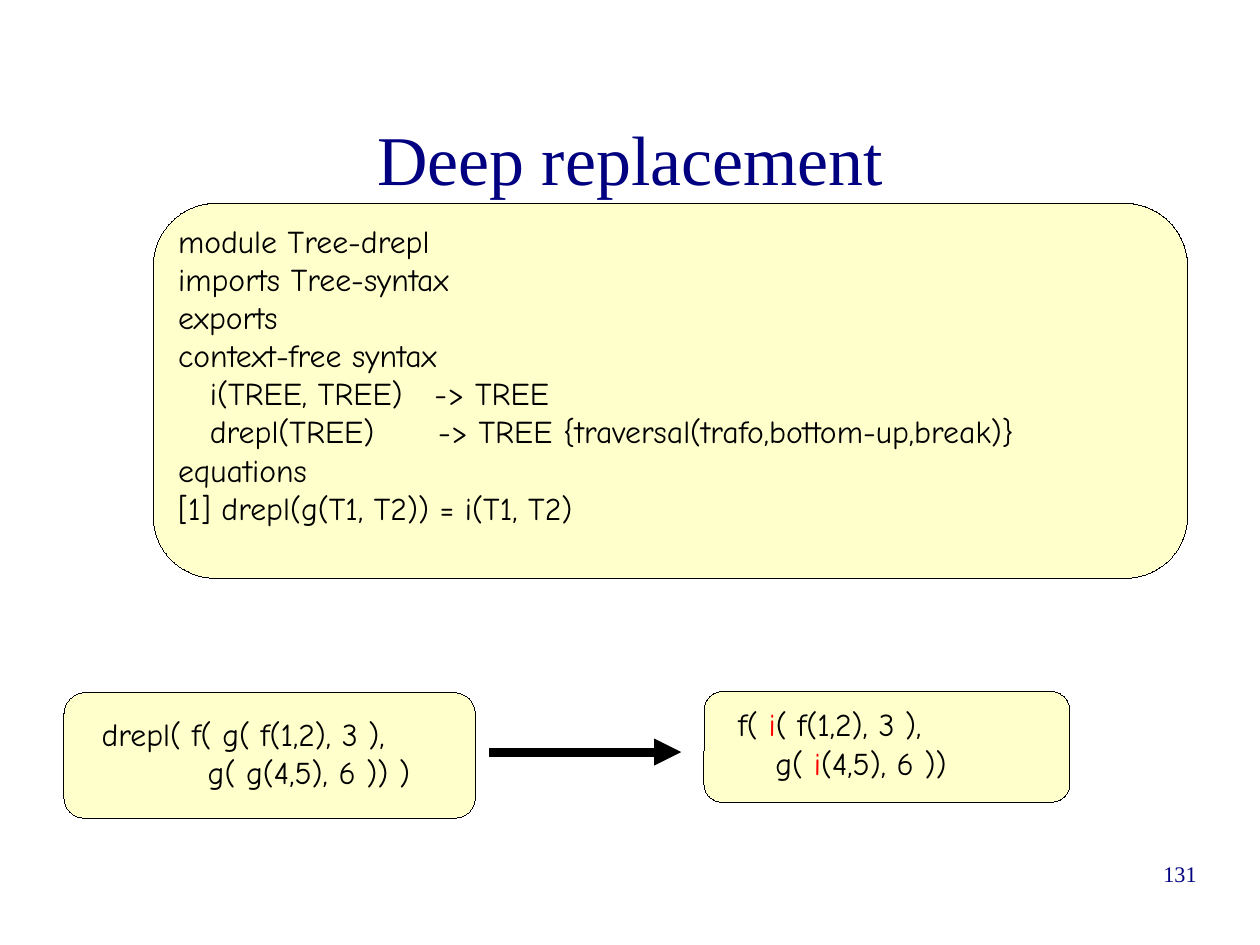
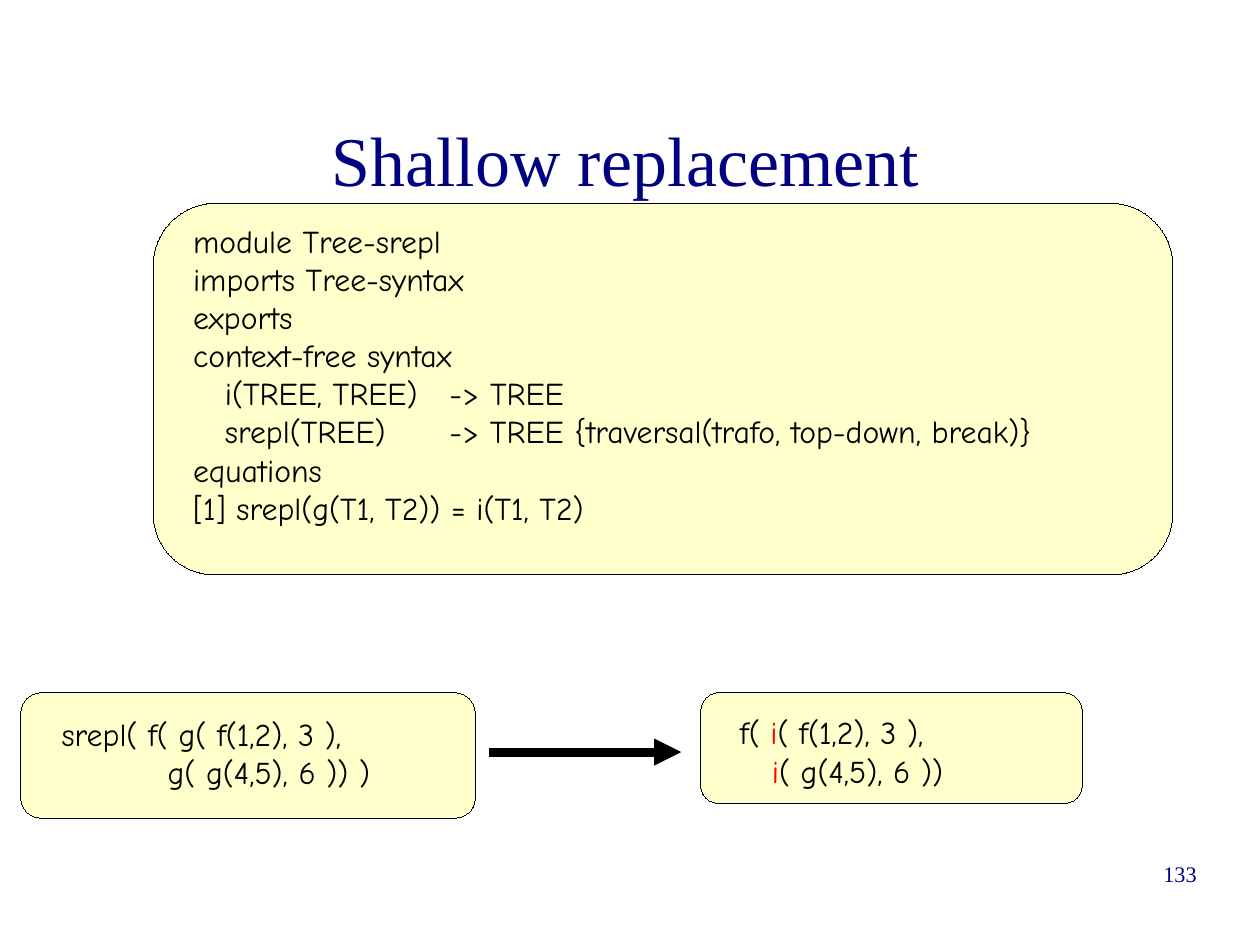
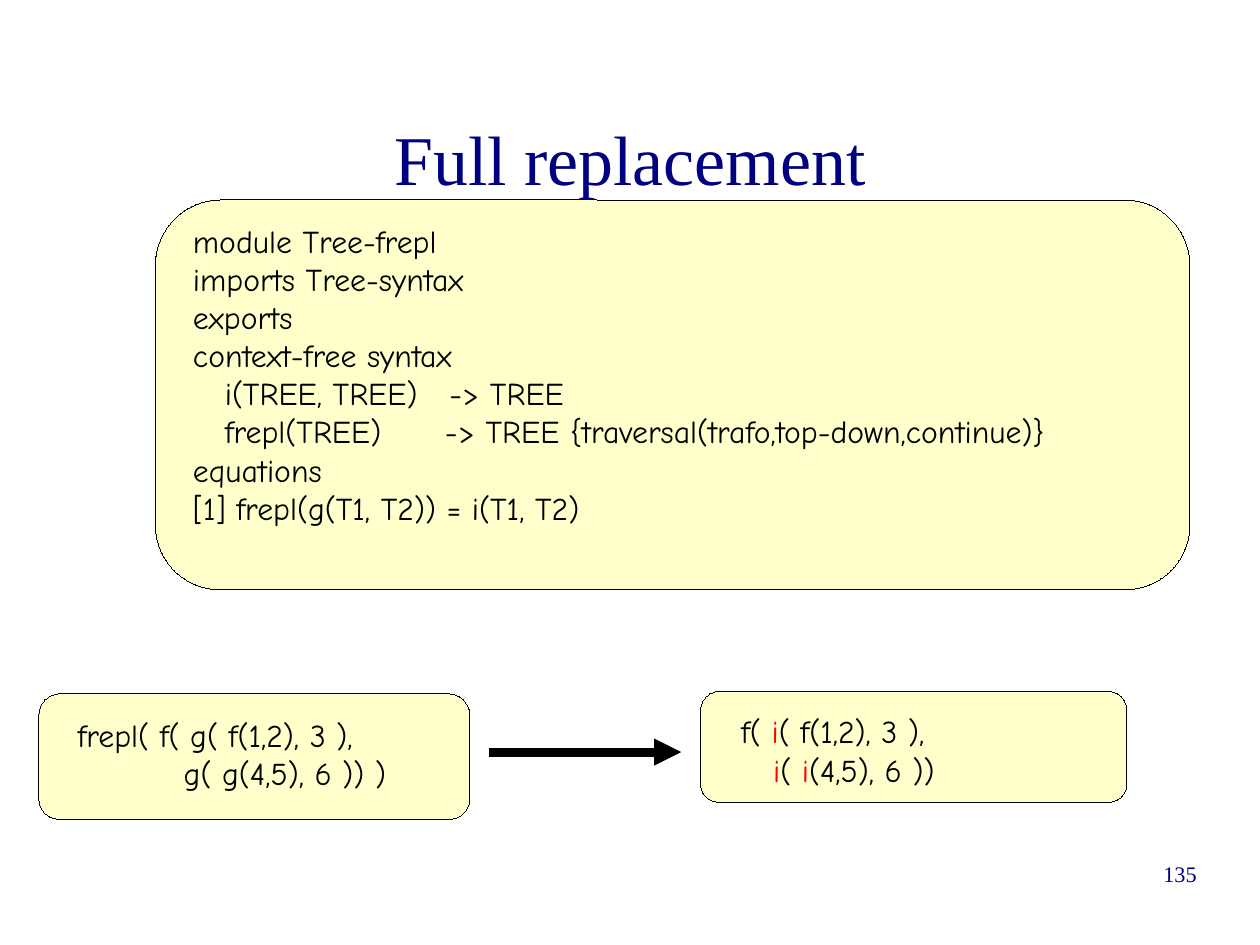
from lxml.etree import SubElement
from pptx import Presentation
from pptx.dml.color import RGBColor
from pptx.enum.shapes import MSO_CONNECTOR, MSO_SHAPE
from pptx.enum.text import MSO_ANCHOR, MSO_AUTO_SIZE, PP_ALIGN
from pptx.oxml.ns import qn
from pptx.util import Cm, Inches, Pt

COLORS = {"panel": "FFFFCC", "ink": "000000", "accent": "FF0000", "navy": "000080"}
SERIF, CODE, SANS = "Times New Roman", "Comic Neue", "Arial"
INSETS = (0.1, 0.05)
ARROW = (4.28, 6.58, 5.96, 6.58)
NUMBER_AT = (7.9, 7.53, 2.57, 0.57)

STRATEGIES = [
    {
        "title": "Deep replacement", "title_at": (0.81, 0.69, 9.41, 1.38),
        "number": "131", "function": "drepl",
        "traversal": "trafo,bottom-up,break",
        "module_panel": (1.34, 1.78, 9.05, 3.28), "module_at": (1.46, 1.89, 9.56, 3.27),
        "call_panel": (0.56, 6.06, 3.6, 1.1), "call_at": (0.79, 6.2, 3.33, 0.89),
        "result_panel": (6.16, 6.05, 3.2, 0.97), "result_at": (6.22, 6.12, 3.08, 0.89),
        "result": ["f(| i|( f(1,2), 3 ),", "     g(| i|(4,5), 6 ))"],
        "lead_size": 18,
    },
    {
        "title": "Shallow replacement", "title_at": (0.77, 0.7, 9.41, 1.38),
        "number": "133", "function": "srepl",
        "traversal": "trafo, top-down, break",
        "module_panel": (1.34, 1.78, 8.92, 3.25), "module_at": (1.59, 1.89, 8.75, 3.27),
        "call_panel": (0.18, 6.06, 3.98, 1.1), "call_at": (0.44, 6.2, 3.67, 0.89),
        "result_panel": (6.13, 6.06, 3.34, 0.97), "result_at": (6.19, 6.13, 3.21, 0.9),
        "result": ["f( |i|( f(1,2), 3 ),", "     |i|( g(4,5), 6 ))"],
        "lead_size": 24,
    },
    {
        "title": "Full replacement", "title_at": (0.81, 0.69, 9.41, 1.38),
        "number": "135", "function": "frepl",
        "traversal": "trafo,top-down,continue",
        "module_panel": (1.36, 1.75, 9.05, 3.41), "module_at": (1.59, 1.89, 9.26, 3.27),
        "call_panel": (0.34, 6.07, 3.77, 1.1), "call_at": (0.58, 6.21, 3.48, 0.89),
        "result_panel": (6.13, 6.05, 3.73, 0.97), "result_at": (6.2, 6.12, 3.58, 0.9),
        "result": ["f(| i|( f(1,2), 3 ),", "     |i|( |i|(4,5), 6 ))"],
        "lead_size": 24,
    },
]


def module_lines(function, traversal):
    return [
        f"module Tree-{function}",
        "imports Tree-syntax",
        "exports",
        "context-free syntax",
        "   i(TREE, TREE)   -> TREE",
        f"   {function}(TREE)      -> TREE {{traversal({traversal})}}",
        "equations",
        f"[1] {function}(g(T1, T2)) = i(T1, T2)",
    ]


def call_lines(function):
    return [f"{function}( f( g( f(1,2), 3 ),", "          g( g(4,5), 6 )) )"]


def place(part, at):
    part.left, part.top, part.width, part.height = map(Inches, at)


def add_run(paragraph, text, font, size, color):
    run = paragraph.add_run()
    run.text = text
    run.font.name, run.font.size = font, Pt(size)
    run.font.color.rgb = RGBColor.from_string(COLORS[color])


def write(holder, lines, font=CODE, size=20, color="ink", align=PP_ALIGN.LEFT,
          anchor=MSO_ANCHOR.TOP, insets=INSETS, lead_size=None):
    frame = holder.text_frame
    frame.word_wrap, frame.auto_size = True, MSO_AUTO_SIZE.NONE
    frame.vertical_anchor = anchor
    frame.margin_left = frame.margin_right = Inches(insets[0])
    frame.margin_top = frame.margin_bottom = Inches(insets[1])
    for index, line in enumerate(lines):
        paragraph = frame.add_paragraph() if index else frame.paragraphs[0]
        paragraph.alignment = align
        if lead_size and index == 0:
            add_run(paragraph, "  ", SANS, lead_size, color)
        for part, text in enumerate(line.split("|")):
            add_run(paragraph, text, font, size, "accent" if part % 2 else color)


def add_text(slide, at, lines, **style):
    write(slide.shapes.add_textbox(*map(Inches, at)), lines, **style)


def add_panel(slide, at):
    panel = slide.shapes.add_shape(MSO_SHAPE.ROUNDED_RECTANGLE, *map(Inches, at))
    panel.shadow.inherit = False
    panel.fill.solid()
    panel.fill.fore_color.rgb = RGBColor.from_string(COLORS["panel"])
    panel.line.color.rgb = RGBColor.from_string(COLORS["ink"])
    panel.element.spPr.find(qn("a:ln")).set("w", "0")
    return panel


def add_arrow(slide):
    arrow = slide.shapes.add_connector(MSO_CONNECTOR.STRAIGHT, *map(Inches, ARROW))
    arrow.line.color.rgb = RGBColor.from_string(COLORS["ink"])
    arrow.line.width = Pt(5.67)
    properties = arrow.element.spPr
    SubElement(properties.find(qn("a:ln")), qn("a:tailEnd"), type="triangle")
    SubElement(properties, qn("a:effectLst"))


def build_slide(deck, strategy):
    slide = deck.slides.add_slide(deck.slide_layouts[5])
    module_panel = add_panel(slide, strategy["module_panel"])
    title = slide.shapes.title
    place(title, strategy["title_at"])
    write(title, [strategy["title"]], font=SERIF, size=44, color="navy",
          align=PP_ALIGN.CENTER, anchor=MSO_ANCHOR.MIDDLE, insets=(0, 0))
    module_panel.element.addnext(title.element)

    function = strategy["function"]
    add_text(slide, strategy["module_at"], module_lines(function, strategy["traversal"]))
    add_panel(slide, strategy["call_panel"])
    add_text(slide, strategy["call_at"], call_lines(function))
    add_panel(slide, strategy["result_panel"])
    add_text(slide, strategy["result_at"], strategy["result"],
             lead_size=strategy["lead_size"])
    add_arrow(slide)
    add_text(slide, NUMBER_AT, [strategy["number"]], font=SERIF, size=14,
             color="navy", align=PP_ALIGN.RIGHT, insets=(0, 0))


def main():
    deck = Presentation()
    deck.slide_width, deck.slide_height = Cm(28), Cm(21)
    for strategy in STRATEGIES:
        build_slide(deck, strategy)
    deck.save("out.pptx")


if __name__ == "__main__":
    main()
